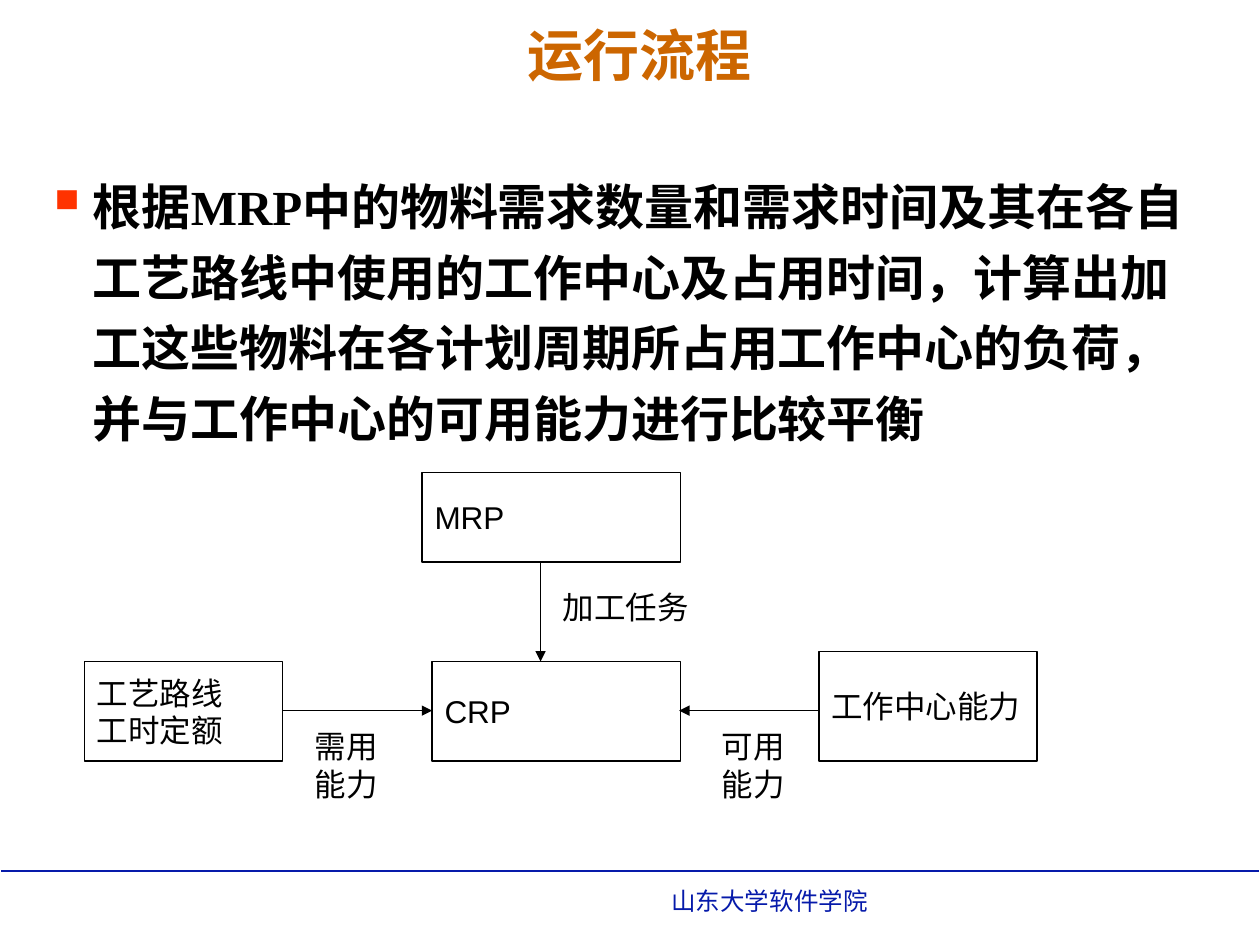
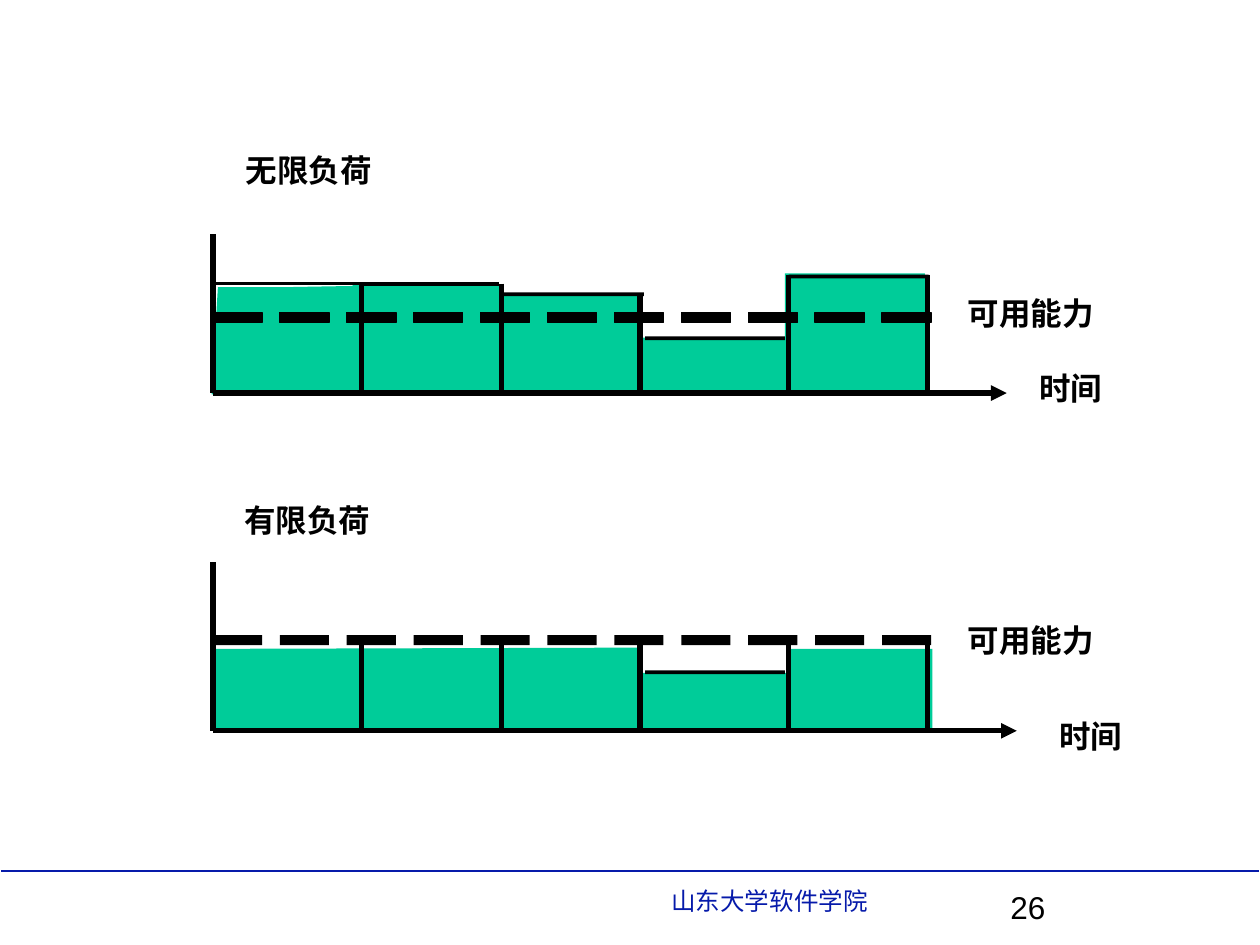
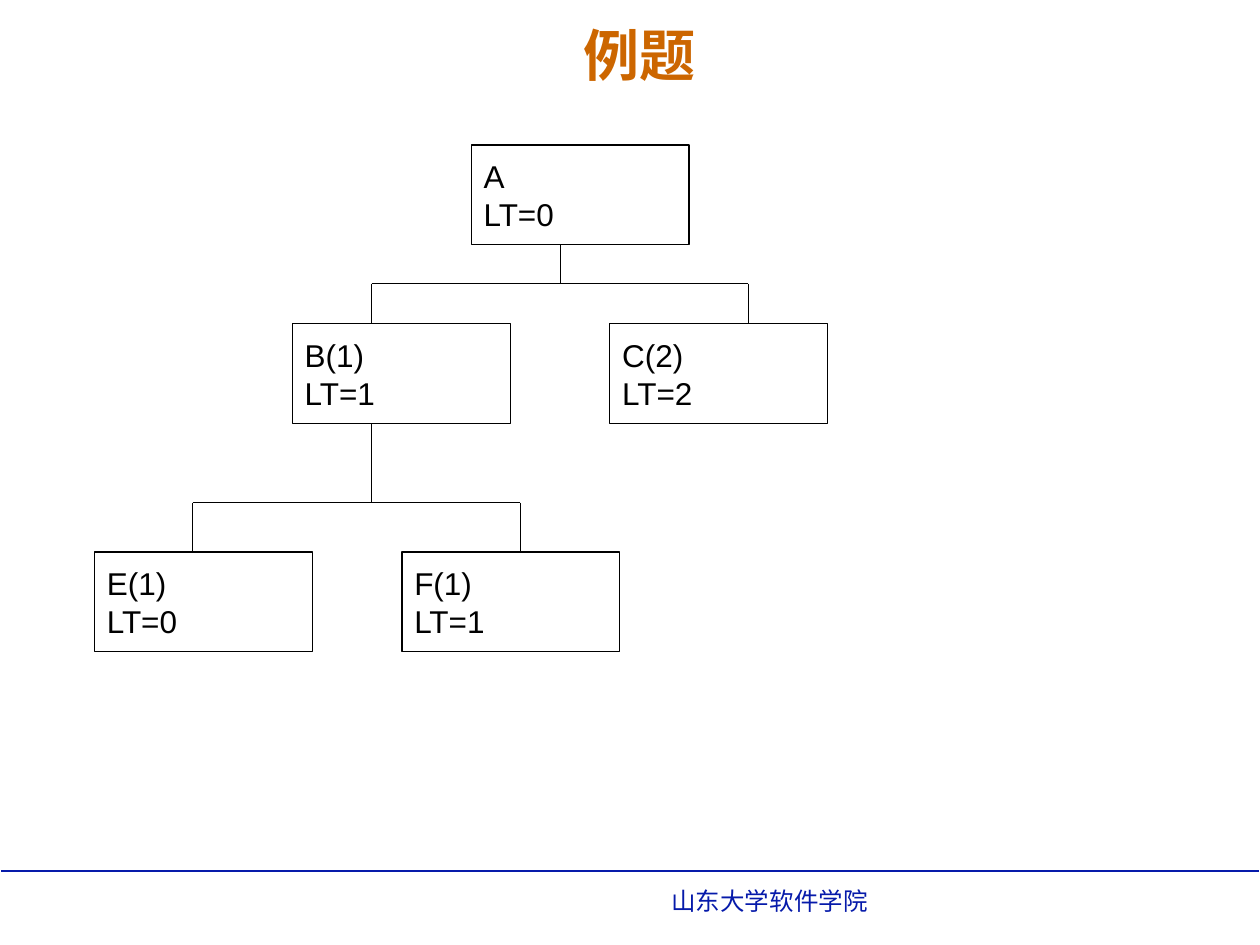
from lxml import etree
from pptx import Presentation
from pptx import util as u
from pptx.dml import color
from pptx.enum import lang, shapes, text
from pptx.oxml import ns

CHINESE = lang.MSO_LANGUAGE_ID.SIMPLIFIED_CHINESE
LEFT, CENTER = text.PP_ALIGN.LEFT, text.PP_ALIGN.CENTER
TOP, MIDDLE = text.MSO_ANCHOR.TOP, text.MSO_ANCHOR.MIDDLE

THEME = {
    "ink": "000000", "title": "CC6600", "footer": "061AAA",
    "bullet": "FF3300", "load": "00CC99",
    "thin": 0.75, "rule": 1, "cap": 2.25, "axis": 3,
    "styles": {
        "title": ("title", CENTER, MIDDLE, {"name": "Times New Roman", "size": u.Pt(32), "bold": True}),
        "body": ("ink", LEFT, TOP, {"name": "Times New Roman", "size": u.Pt(28), "bold": True}),
        "node": ("ink", LEFT, MIDDLE, {"name": "Arial", "size": u.Pt(18)}),
        "label": ("ink", LEFT, TOP, {"name": "Arial", "size": u.Pt(18)}),
        "strong": ("ink", LEFT, TOP, {"name": "Arial", "size": u.Pt(18), "bold": True}),
        "narrow": ("ink", LEFT, TOP, {"name": "Arial Narrow", "size": u.Pt(18), "bold": True}),
        "footer": ("footer", LEFT, TOP, {"name": "Arial", "size": u.Pt(14)}),
    },
}

deck = Presentation()
deck.slide_width, deck.slide_height = u.Inches(10), u.Inches(7.5)
COL, ROW = deck.slide_width / 100, deck.slide_height / 75


def block(parent, area, words="", style="label", fill=None, edge=None, inset=True):
    left, top, width, height = area
    place = [int(n) for n in (left * COL, top * ROW, width * COL, height * ROW)]
    if fill or edge:
        part = parent.add_shape(shapes.MSO_SHAPE.RECTANGLE, *place)
        part.shadow.inherit = False
        part.fill.background()
        part.line.fill.background()
    else:
        part = parent.add_textbox(*place)
    if fill:
        part.fill.solid()
        part.fill.fore_color.rgb = color.RGBColor.from_string(THEME[fill])
    if edge:
        part.line.color.rgb = color.RGBColor.from_string(THEME["ink"])
        part.line.width = u.Pt(THEME[edge])
    if not words:
        return part
    tone, align, anchor, font = THEME["styles"][style]
    pad_x, pad_y = (u.Inches(0.1), u.Inches(0.05)) if inset else (0, 0)
    frame_format = {
        "word_wrap": True, "vertical_anchor": anchor,
        "margin_left": pad_x, "margin_right": pad_x,
        "margin_top": pad_y, "margin_bottom": pad_y,
    }
    for attribute, value in frame_format.items():
        setattr(part.text_frame, attribute, value)
    part.text_frame.text = words
    for paragraph in part.text_frame.paragraphs:
        paragraph.alignment = align
        for run in paragraph.runs:
            for attribute, value in {**font, "language_id": CHINESE}.items():
                setattr(run.font, attribute, value)
            run.font.color.rgb = color.RGBColor.from_string(THEME[tone])
    return part


def link(parent, start, end, weight="thin", tone="ink", arrow=False):
    ends = [int(n) for x, y in (start, end) for n in (x * COL, y * ROW)]
    joint = parent.add_connector(shapes.MSO_CONNECTOR.STRAIGHT, *ends)
    joint.line.color.rgb = color.RGBColor.from_string(THEME[tone])
    joint.line.width = u.Pt(THEME[weight])
    if arrow:
        etree.SubElement(joint.line._get_or_add_ln(), ns.qn("a:tailEnd"), type="triangle")
    etree.SubElement(joint._element.spPr, ns.qn("a:effectLst"))


pages = []
for heading in ("运行流程", "", "例题"):
    page = deck.slides.add_slide(deck.slide_layouts[6]).shapes
    link(page, (0.1, 69.1), (99.9, 69.1), "rule", "footer")
    block(page, (52.3, 69.8, 43.3, 3.4), "山东大学软件学院", "footer")
    if heading:
        block(page, (4, 1.3, 93.5, 6), heading, "title")
    pages.append(page)
flow, loads, tree = pages

summary = block(
    flow, (2.6, 12.6, 94.4, 24.1),
    "根据MRP中的物料需求数量和需求时间及其在各自工艺路线中使用的工作中心及占用时间，"
    "计算出加工这些物料在各计划周期所占用工作中心的负荷，并与工作中心的可用能力进行比较平衡",
    "body",
).text_frame.paragraphs[0]
bullet = summary._p.get_or_add_pPr()
for attribute, value in {"marL": 0.38, "indent": -0.38}.items():
    bullet.set(attribute, str(u.Inches(value)))
bullet_color = etree.SubElement(bullet, ns.qn("a:buClr"))
etree.SubElement(bullet_color, ns.qn("a:srgbClr"), val=THEME["bullet"])
etree.SubElement(bullet, ns.qn("a:buSzPct"), val="120000")
etree.SubElement(bullet, ns.qn("a:buChar"), char="▪")
summary.line_spacing = 1.2

for step, area in (
    ("MRP", (33.5, 37.5, 20.5, 7.1)),
    ("工艺路线\n工时定额", (6.7, 52.5, 15.7, 7.9)),
    ("CRP", (34.3, 52.5, 19.7, 7.9)),
    ("工作中心能力", (65, 51.7, 17.3, 8.7)),
):
    block(flow, area, step, "node", edge="thin")
for start, end in (
    ((42.9, 44.6), (42.9, 52.5)),
    ((22.4, 56.4), (34.3, 56.4)),
    ((65, 56.4), (53.9, 56.4)),
):
    link(flow, start, end, arrow=True)
for caption, area in (
    ("需用能力", (24, 57.2, 9.4, 7)),
    ("加工任务", (43.7, 46.2, 12.6, 4)),
    ("可用能力", (56.3, 57.2, 7.9, 7)),
):
    block(flow, area, caption)

block(loads, (79.2, 70, 20.8, 5), "26")
periods = (28.7, 39.8, 50.8, 62.6, 73.6)
axis_x, dash_step, dash_count = 16.9, 5.31, 11
load_charts = (
    {
        "outline": [(17.3, 22.8), (16.8, 31.3), (73.4, 31.3), (73.4, 21.7), (62.3, 21.7),
                    (62.3, 26.8), (50.7, 26.8), (50.7, 23.4), (39.6, 23.4), (39.6, 22.6),
                    (27.9, 22.6), (28.1, 22.7), (22.3, 22.8)],
        "tops": [(28.5, 22.4), (40, 23.2), (51.2, 26.7), (62.6, 21.8)],
        "capacity": 24.8, "dash_edge": "thin",
        "base": 31.2, "peak": 18.6, "axis_end": 79.9,
        "dividers": (22.5, 22.5, 23.3, 21.8, 21.8),
        "captions": [("无限负荷", (18.5, 11.5, 14.2, 4), "strong", True),
                     ("可用能力", (76.8, 23.3, 13.4, 3), "narrow", False),
                     ("时间", (81.5, 28.8, 8.7, 4), "strong", True)],
    },
    {
        "outline": [(17.1, 51.5), (17.1, 58), (74, 58), (74, 51.5), (62.5, 51.5),
                    (62.5, 53.4), (51, 53.4), (51, 51.4)],
        "tops": [(51.2, 53.2)],
        "capacity": 50.4, "dash_edge": None,
        "base": 58, "peak": 44.6, "axis_end": 80.7,
        "dividers": (50.9,) * 5,
        "captions": [("有限负荷", (19.4, 39.8, 11.6, 3), "narrow", False),
                     ("可用能力", (76.8, 49.3, 11, 3), "strong", False),
                     ("时间", (83.1, 56.4, 9.4, 4), "strong", True)],
    },
)
for chart in load_charts:
    corners = [(int(x * COL), int(y * ROW)) for x, y in chart["outline"]]
    pen = loads.build_freeform(*corners[0])
    pen.add_line_segments(corners[1:], close=True)
    load = pen.convert_to_shape()
    load.shadow.inherit = False
    load.fill.solid()
    load.fill.fore_color.rgb = color.RGBColor.from_string(THEME["load"])
    load.line.fill.background()
    for left, top in chart["tops"]:
        block(loads, (left, top, 11.1, 0.3), fill="ink")
    capacity = loads.add_group_shape().shapes
    for index in range(dash_count):
        dash = (axis_x + index * dash_step, chart["capacity"], 3.9, 0.8)
        block(capacity, dash, fill="ink", edge=chart["dash_edge"])
    origin = (axis_x, chart["base"])
    link(loads, origin, (chart["axis_end"], chart["base"]), "axis", arrow=True)
    link(loads, origin, (axis_x, chart["peak"]), "axis")
    for period, top in zip(periods, chart["dividers"]):
        link(loads, (period, top), (period, chart["base"]), "axis")
    for words, area, style, inset in chart["captions"]:
        block(loads, area, words, style, inset=inset)
link(loads, (axis_x, 22.5), (29.5, 22.5), "cap")

item_width, item_height = 17.3, 7.9
levels = (11.5, 25.7, 43.8)
for item, lead_time, left, level in (
    ("A", 0, 37.4, 0),
    ("B(1)", 1, 23.2, 1),
    ("C(2)", 2, 48.4, 1),
    ("E(1)", 0, 7.5, 2),
    ("F(1)", 1, 31.9, 2),
):
    area = (left, levels[level], item_width, item_height)
    block(tree, area, f"{item}\nLT={lead_time}", "node", edge="thin")
for level, parent_x, branch_y, children in (
    (0, 44.5, 22.5, (29.5, 59.4)),
    (1, 29.5, 39.9, (15.3, 41.3)),
):
    link(tree, (parent_x, levels[level] + item_height), (parent_x, branch_y))
    link(tree, (children[0], branch_y), (children[1], branch_y))
    for child in children:
        link(tree, (child, branch_y), (child, levels[level + 1]))

deck.save("out.pptx")
